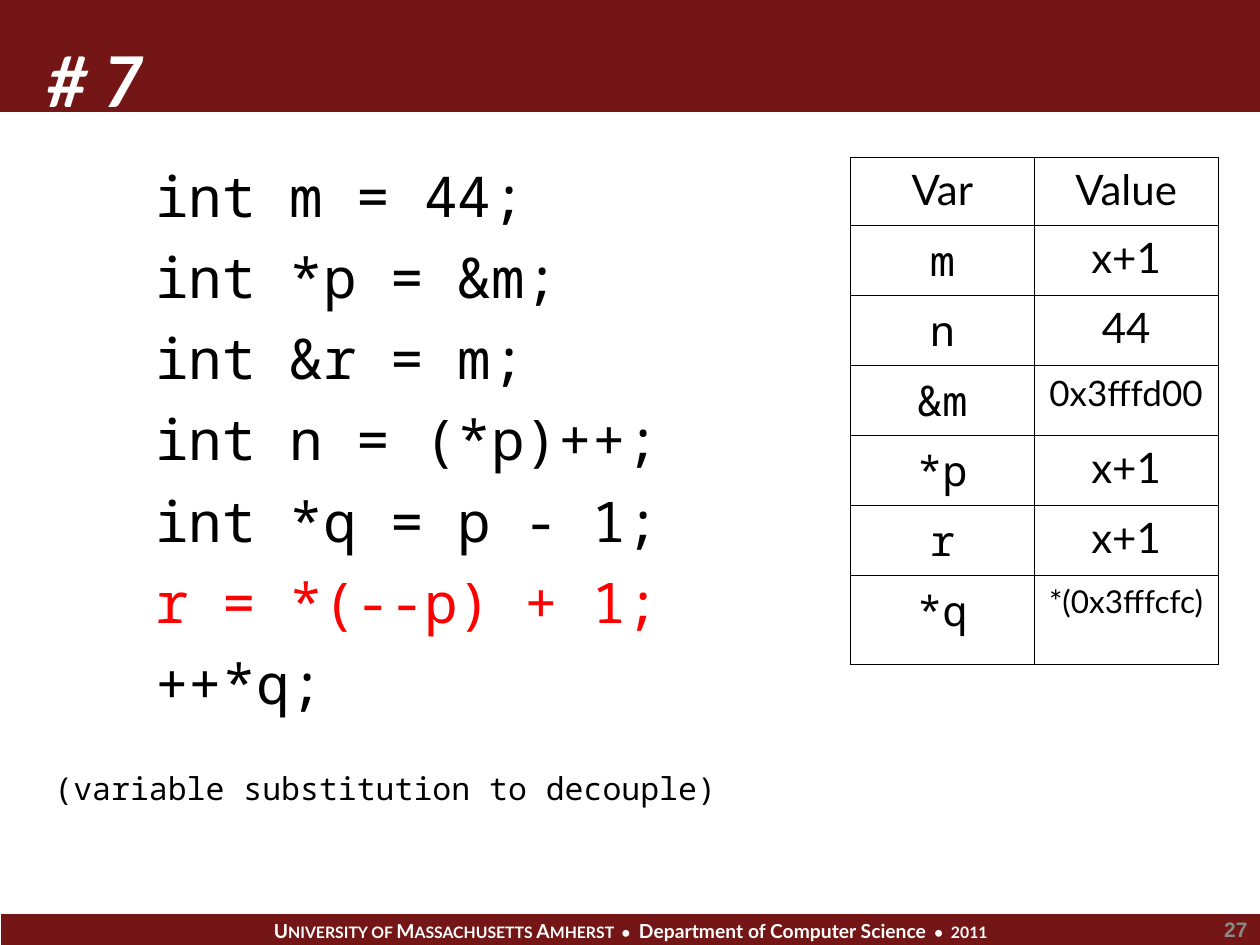
from pptx import Presentation
from pptx.dml.color import RGBColor
from pptx.enum.shapes import MSO_SHAPE
from pptx.enum.text import MSO_ANCHOR, MSO_AUTO_SIZE, PP_ALIGN
from pptx.oxml import parse_xml
from pptx.oxml.ns import nsdecls
from pptx.util import Pt

RECTANGLE = MSO_SHAPE.RECTANGLE
TOP, MIDDLE, BOTTOM = MSO_ANCHOR.TOP, MSO_ANCHOR.MIDDLE, MSO_ANCHOR.BOTTOM
LEFT, CENTER, RIGHT = PP_ALIGN.LEFT, PP_ALIGN.CENTER, PP_ALIGN.RIGHT
NO_AUTOFIT = MSO_AUTO_SIZE.NONE
TITLE_ONLY = 5

COLORS = {"maroon": "741615", "white": "FFFFFF", "black": "000000",
          "red": "FF0000", "gray": "898989"}
SANS, MONO, NUMBER_FONT = "Lato", "Noto Sans Mono", "Arial"

CODE = ["int m = 44;", "int *p = &m;", "int &r = m;", "int n = (*p)++;",
        "int *q = p - 1;", "r = *(--p) + 1;", "++*q;"]
CURRENT_LINE = 5
VALUES = [("Var", "Value", 24), ("m", "x+1", 24), ("n", "44", 24),
          ("&m", "0x3fffd00", 20), ("*p", "x+1", 24), ("r", "x+1", 24),
          ("*q", "*(0x3fffcfc)", 18)]
FOOTER = [("U", 11), ("NIVERSITY OF ", 9), ("M", 11), ("ASSACHUSETTS ", 9),
          ("A", 11), ("MHERST  • ", 9), (" Department of Computer Science", 11),
          ("  •  2011", 9)]


def color(name):
    return RGBColor.from_string(COLORS[name])


def write(para, text, font=SANS, size=24, ink="black", bold=False,
          italic=False, align=LEFT):
    """Add one formatted span to a paragraph."""
    para.alignment = align
    span = para.add_run()
    span.text = text
    span.font.name = font
    span.font.size = Pt(size)
    span.font.bold = bold
    span.font.italic = italic
    span.font.color.rgb = color(ink)


def set_frame(box, anchor=TOP):
    frame = box.text_frame
    frame.word_wrap = True
    frame.auto_size = NO_AUTOFIT
    frame.vertical_anchor = anchor
    return frame


def add_bar(page, left, top, width, height):
    bar = page.shapes.add_shape(RECTANGLE, Pt(left), Pt(top), Pt(width), Pt(height))
    bar.shadow.inherit = False
    bar.fill.solid()
    bar.fill.fore_color.rgb = color("maroon")
    bar.line.fill.background()
    return bar


def add_header(page, left, top, width, height):
    bar = add_bar(page, left, top, width, height)
    title = page.shapes.title
    title.element.addprevious(bar.element)  # bar goes behind the title
    title.left, title.top = Pt(left + 20), Pt(top + 9)
    title.width, title.height = Pt(600), Pt(height)
    write(set_frame(title, BOTTOM).paragraphs[0], "# 7", size=40, ink="white",
          bold=True, italic=True)


def add_footer(page, left, top, width, height):
    bar = add_bar(page, left, top, width, height)
    para = set_frame(bar, MIDDLE).paragraphs[0]
    for text, size in FOOTER:
        write(para, text, size=size, ink="white", bold=True, align=CENTER)

    # Slide number at the right end
    number = page.shapes.add_textbox(Pt(left + width - 108), Pt(top - 0.7),
                                     Pt(108), Pt(18))
    write(set_frame(number, MIDDLE).paragraphs[0], "27", font=NUMBER_FONT,
          size=12, ink="gray", bold=True, align=RIGHT)


def add_code(page, left, top, width, height):
    box = page.shapes.add_textbox(Pt(left), Pt(top), Pt(width), Pt(height))
    frame = set_frame(box)
    for index, line in enumerate(CODE):
        para = frame.paragraphs[0] if index == 0 else frame.add_paragraph()
        para.space_before = Pt(8 if index else 0)
        write(para, "   " + line, font=MONO, size=32,
              ink="red" if index == CURRENT_LINE else "black")

    # Remark, set apart from the code
    remark = frame.add_paragraph()
    remark.space_before = Pt(30.7)
    write(remark, "(variable substitution to decouple)", font=MONO, size=18)


def set_borders(cell):
    properties = cell._tc.get_or_add_tcPr()
    for index, side in enumerate(("lnL", "lnR", "lnT", "lnB")):
        properties.insert(index, parse_xml(
            f'<a:{side} {nsdecls("a")} w="{Pt(0.45)}"><a:solidFill>'
            f'<a:srgbClr val="{COLORS["black"]}"/></a:solidFill></a:{side}>'))


def add_values(page, left, top, width, height):
    last_height = 50.7
    row_height = (height - last_height) / (len(VALUES) - 1)
    table = page.shapes.add_table(len(VALUES), 2, Pt(left), Pt(top),
                                  Pt(width), Pt(height)).table
    table.first_row = table.horz_banding = False
    for index, (name, value, size) in enumerate(VALUES):
        is_last = index == len(VALUES) - 1
        table.rows[index].height = Pt(last_height if is_last else row_height)
        name_font = MONO if index else SANS
        for column, (text, font, points) in enumerate(
                [(name, name_font, 24), (value, SANS, size)]):
            cell = table.cell(index, column)
            cell.fill.background()
            set_borders(cell)
            write(cell.text_frame.paragraphs[0], text, font=font, size=points,
                  align=CENTER)


def main():
    deck = Presentation()
    deck.slide_width, deck.slide_height = Pt(720), Pt(540)
    page = deck.slides.add_slide(deck.slide_layouts[TITLE_ONLY])
    add_header(page, 0, 0, 720, 64)
    add_footer(page, 0.7, 522.4, 719.3, 19.4)
    add_code(page, 24, 88.6, 696, 421)
    add_values(page, 486, 90, 210, 284.4)
    deck.save("out.pptx")


if __name__ == "__main__":
    main()
